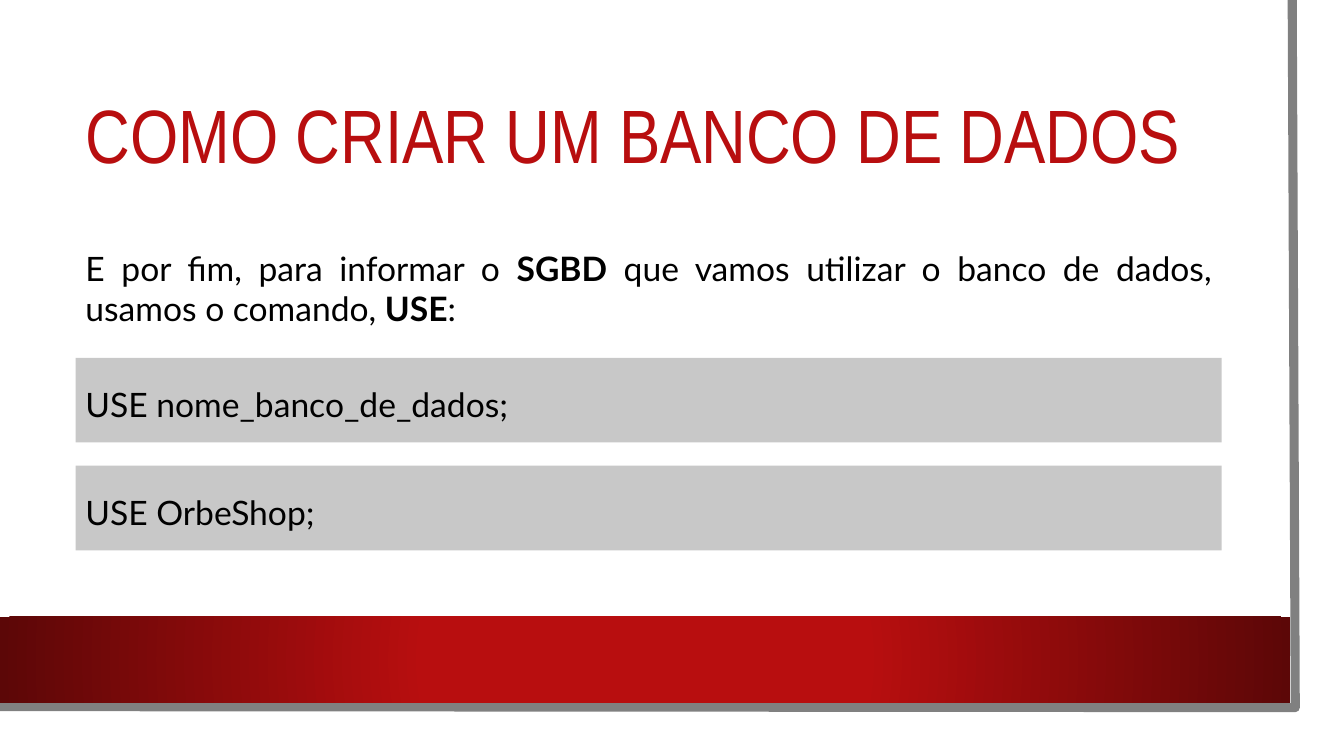
import lxml.etree
import pptx
import pptx.dml.color
import pptx.enum.shapes
import pptx.enum.text
import pptx.oxml
import pptx.oxml.ns
import pptx.util

CELL = pptx.util.Inches(1) // 12  # the slide is a grid of 160 columns by 90 rows
LEFT, WIDTH = 9, 136.44
RED, DARK, BLACK = "B80E0F", "5C0707", "000000"
CODES = ["USE nome_banco_de_dados;", "USE OrbeShop;"]
INTRO = [
    ("E por fim, para informar o ", False),
    ("SGBD", True),
    (" que vamos utilizar o banco de dados, usamos o comando, ", False),
    ("USE", True),
    (":", False),
]


def grid(*cells):
    """Turn columns and rows into lengths."""
    return [pptx.util.Emu(round(cell * CELL)) for cell in cells]


def tint(color, code):
    color.rgb = pptx.dml.color.RGBColor.from_string(code)


def style(run, size, face, code, bold=False):
    font = run.font
    font.size, font.name, font.bold = pptx.util.Pt(size), face, bold
    tint(font.color, code)


def add_box(slide, cells, code):
    box = slide.shapes.add_shape(
        pptx.enum.shapes.MSO_SHAPE.RECTANGLE, *grid(*cells))
    box.shadow.inherit = False
    box.line.fill.background()
    box.fill.solid()
    tint(box.fill.fore_color, code)
    return box


def add_edge(slide):
    """Draw the grey line along the right and bottom of the sheet."""
    start, *rest = [grid(*spot) for spot in
                    [(153.84, 0), (154.2, 84.24), (-0.36, 84.12)]]
    path = slide.shapes.build_freeform(*start)
    path.add_line_segments(rest, close=False)
    edge = path.convert_to_shape()
    edge.shadow.inherit = False
    edge.fill.background()
    edge.line.width = pptx.util.Pt(6.5)
    tint(edge.line.color, "808080")


def add_band(slide):
    """Draw the red band, which darkens away from its centre."""
    band = add_box(slide, (0, 73.44, 153.6, 10.2), RED)
    space = pptx.oxml.ns.nsdecls("a")
    fade = pptx.oxml.parse_xml(
        f'<a:gradFill {space} rotWithShape="1"><a:gsLst>'
        f'<a:gs pos="34000"><a:srgbClr val="{RED}"/></a:gs>'
        f'<a:gs pos="100000"><a:srgbClr val="{DARK}"/></a:gs></a:gsLst>'
        '<a:path path="circle"><a:fillToRect l="50000" t="50000" '
        'r="50000" b="50000"/></a:path></a:gradFill>')
    props = band.element.spPr
    solid = props.find(pptx.oxml.ns.qn("a:solidFill"))
    props.replace(solid, fade)


def set_title(slide, text):
    title = slide.shapes.title
    title.left, title.top, title.width, title.height = grid(
        LEFT, 9, WIDTH, 15.12)
    frame = title.text_frame
    frame.text = text
    frame.vertical_anchor = pptx.enum.text.MSO_ANCHOR.MIDDLE
    frame.auto_size = pptx.enum.text.MSO_AUTO_SIZE.NONE
    para = frame.paragraphs[0]
    para.alignment = pptx.enum.text.PP_ALIGN.LEFT
    para.line_spacing = 0.9
    style(para.runs[0], 54, "Arial Narrow", RED)


def add_intro(slide):
    box = slide.shapes.add_textbox(*grid(LEFT, 28.92, WIDTH, 10.92))
    frame = box.text_frame
    frame.word_wrap = True
    frame.auto_size = pptx.enum.text.MSO_AUTO_SIZE.SHAPE_TO_FIT_TEXT
    para = frame.paragraphs[0]
    para.alignment = pptx.enum.text.PP_ALIGN.JUSTIFY
    for text, bold in INTRO:
        run = para.add_run()
        run.text = text
        style(run, 24, "Lato", BLACK, bold)


def add_code(slide, top, text):
    box = add_box(slide, (LEFT, top, WIDTH, 10.08), "C8C8C8")
    frame = box.text_frame
    frame.text = text
    frame.vertical_anchor = pptx.enum.text.MSO_ANCHOR.MIDDLE
    para = frame.paragraphs[0]
    para.alignment = pptx.enum.text.PP_ALIGN.JUSTIFY
    para.line_spacing = 1.2
    para.space_before = pptx.util.Pt(10)
    style(para.runs[0], 24, "Lato", BLACK)


def main():
    deck = pptx.Presentation()
    deck.slide_width, deck.slide_height = grid(160, 90)
    slide = deck.slides.add_slide(deck.slide_layouts.get_by_name("Title Only"))
    sheet = add_box(slide, (0, 0, 157.2, 87.24), "FFFFFF")
    add_edge(slide)
    add_band(slide)
    set_title(slide, "COMO CRIAR UM BANCO DE DADOS")
    # The sheet lies behind the title placeholder.
    tree = sheet.element.getparent()
    tree.append(slide.shapes.title.element)
    add_intro(slide)
    for row, text in enumerate(CODES):
        add_code(slide, 42.6 + 12.84 * row, text)
    deck.save("out.pptx")


if __name__ == "__main__":
    main()
